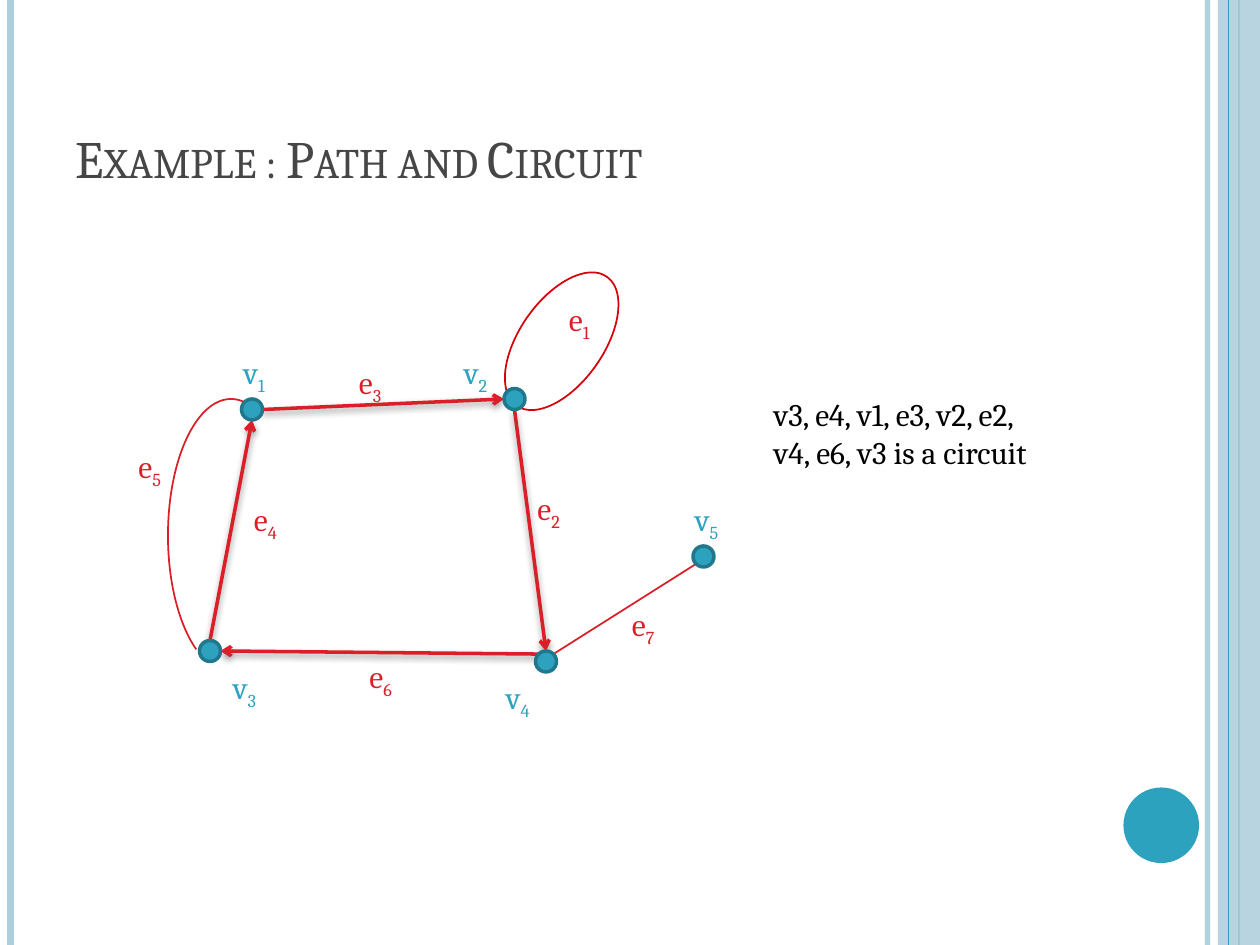
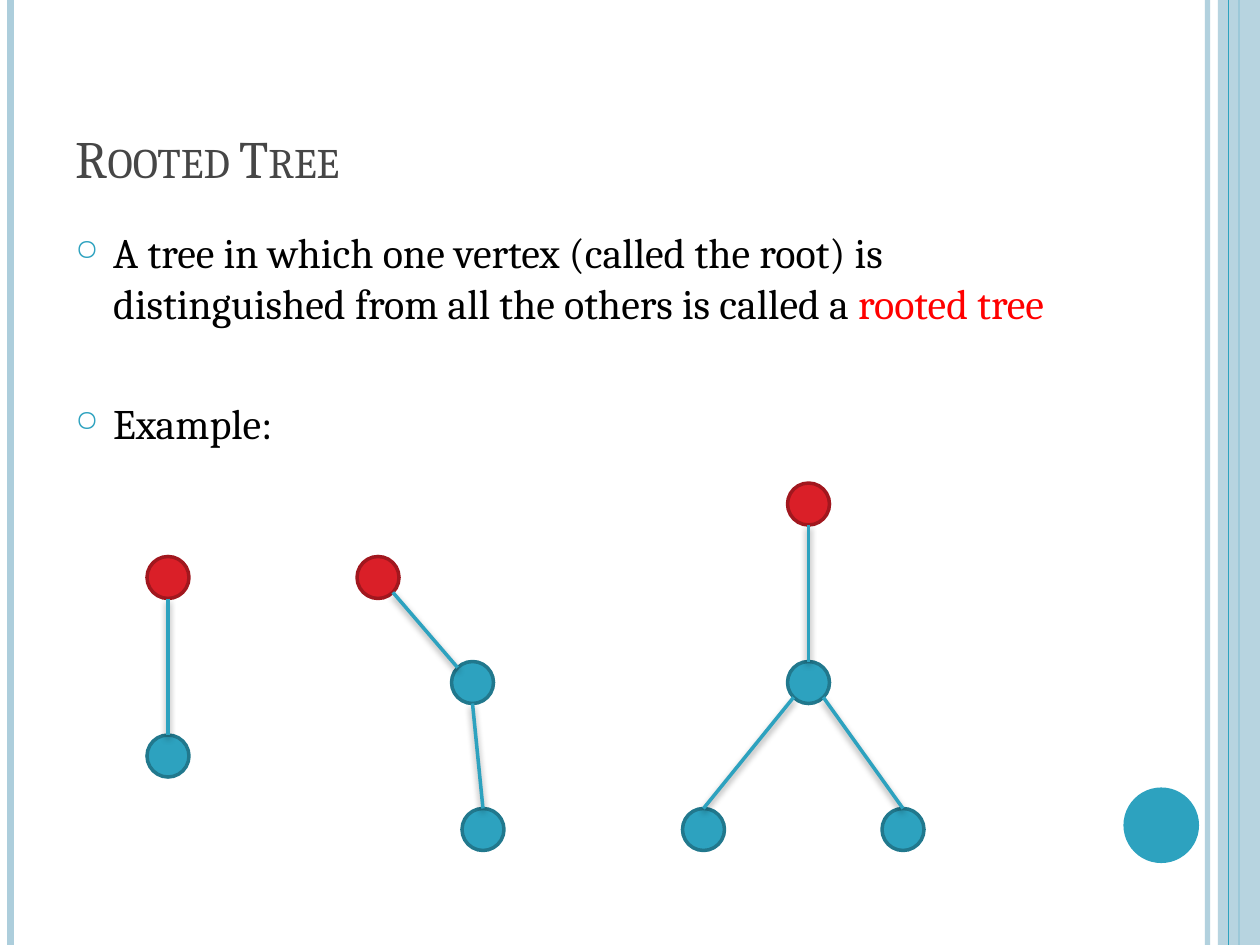
from dataclasses import dataclass
from math import sqrt

from lxml import etree
from pptx import Presentation
from pptx.dml.color import RGBColor
from pptx.enum.shapes import MSO_CONNECTOR, MSO_SHAPE
from pptx.enum.text import MSO_ANCHOR, MSO_AUTO_SIZE, PP_ALIGN
from pptx.oxml.ns import qn
from pptx.util import Pt

STRAIGHT = MSO_CONNECTOR.STRAIGHT
RECT, OVAL, ARC = MSO_SHAPE.RECTANGLE, MSO_SHAPE.OVAL, MSO_SHAPE.ARC
BOTTOM, LEFT = MSO_ANCHOR.BOTTOM, PP_ALIGN.LEFT
NO_FIT, GROW = MSO_AUTO_SIZE.NONE, MSO_AUTO_SIZE.SHAPE_TO_FIT_TEXT

DIAG = 1 / sqrt(2)
SIDES = {
    "top": (0, -1), "bottom": (0, 1), "right": (1, 0), "left": (-1, 0),
    "top left": (-DIAG, -DIAG), "top right": (DIAG, -DIAG),
    "bottom left": (-DIAG, DIAG), "bottom right": (DIAG, DIAG),
}


@dataclass(frozen=True)
class Theme:
    font: str = "Cambria"
    title_size: int = 30
    body_size: int = 24
    label_size: int = 18
    title: str = "464646"
    text: str = "000000"
    band: str = "ADCEDC"
    teal: str = "2DA2BF"
    teal_edge: str = "21788D"
    red: str = "DA1F28"
    red_edge: str = "A1171E"
    loop: str = "D5000A"
    highlight: str = "FF0000"


def rgb(value):
    return RGBColor.from_string(value)


def sub(parent, tag, **attrs):
    return etree.SubElement(parent, qn(tag), {k: str(v) for k, v in attrs.items()})


def set_alpha(element, percent):
    for color in element.iter(qn("a:srgbClr")):
        sub(color, "a:alpha", val=percent * 1000)


class Deck:
    def __init__(self, theme):
        self.theme = theme
        self.prs = Presentation()
        self.prs.slide_width, self.prs.slide_height = Pt(720), Pt(540)
        self.s = None

    def slide(self, title):
        self.s = self.prs.slides.add_slide(self.prs.slide_layouts[5])
        self.bands()
        t = self.theme
        sp = self.s.shapes.title
        sp.left, sp.top, sp.width, sp.height = Pt(36), Pt(21.6), Pt(588), Pt(90)
        tf = sp.text_frame
        tf.text = title
        tf.vertical_anchor, tf.auto_size = BOTTOM, NO_FIT
        p = tf.paragraphs[0]
        p.alignment = LEFT
        r = self.style(p.runs[0], t.title_size, t.title)
        r.font._element.set("cap", "small")

    def bands(self):
        t = self.theme
        self.stripe(690, t.band, 3, alpha=93)
        self.stripe(6, t.band, 4.5)
        self.stripe(708, t.teal, 1.5)
        sp = self.shape(RECT, 696, 0, 24, 540, fill=t.band)
        set_alpha(sp._element.spPr, 87)
        self.stripe(702, t.teal, 0.75)
        self.shape(OVAL, 642, 450, 43.2, 43.2, fill=t.teal)

    def stripe(self, x, color, width, alpha=None):
        ln = self.line((x, 0), (x, 540), color, width)
        if alpha:
            set_alpha(ln._element.spPr, alpha)

    def style(self, r, size, color):
        r.font.name, r.font.size = self.theme.font, Pt(size)
        r.font.color.rgb = rgb(color)
        return r

    def shape(self, kind, x, y, w, h, fill=None, line=None, width=1):
        sp = self.s.shapes.add_shape(kind, Pt(x), Pt(y), Pt(w), Pt(h))
        sp.shadow.inherit = False
        if fill:
            sp.fill.solid()
            sp.fill.fore_color.rgb = rgb(fill)
        else:
            sp.fill.background()
        if line:
            sp.line.color.rgb, sp.line.width = rgb(line), Pt(width)
        else:
            sp.line.fill.background()
        return sp

    def line(self, start, end, color, width, arrow=False, shadow=False):
        ln = self.s.shapes.add_connector(STRAIGHT, *map(Pt, start + end))
        ln.line.color.rgb, ln.line.width = rgb(color), Pt(width)
        if arrow:
            sub(ln.line._get_or_add_ln(), "a:tailEnd", type="arrow")
        effects = sub(ln._element.spPr, "a:effectLst")
        if shadow:
            outer = sub(effects, "a:outerShdw", blurRad=Pt(4), dist=Pt(2),
                        dir=90 * 60000, rotWithShape=0)
            sub(outer, "a:srgbClr", val="000000")
            set_alpha(outer, 40)
        return ln

    def node(self, center, radius, root=False):
        t = self.theme
        fill, edge = (t.red, t.red_edge) if root else (t.teal, t.teal_edge)
        x, y = center
        self.shape(OVAL, x - radius, y - radius, 2 * radius, 2 * radius, fill, edge, 2)

    def edge(self, start, start_side, end, end_side, radius, color, width=2, arrow=False):
        ends = [
            tuple(c + radius * d for c, d in zip(center, SIDES[side]))
            for center, side in ((start, start_side), (end, end_side))
        ]
        self.line(*ends, color, width, arrow, shadow=width > 1)

    def arc(self, x, y, w, h, color, adjustments, rotation=0):
        sp = self.shape(ARC, x, y, w, h, line=color)
        sp.adjustments[0], sp.adjustments[1] = adjustments
        sp.rotation = rotation

    def textbox(self, x, y, w, h, text, size, color, wrap=False):
        sp = self.s.shapes.add_textbox(Pt(x), Pt(y), Pt(w), Pt(h))
        tf = sp.text_frame
        tf.text = text
        tf.word_wrap = wrap
        tf.auto_size = NO_FIT if wrap else GROW
        for p in tf.paragraphs:
            self.style(p.runs[0], size, color)
        return tf

    def label(self, name, x, y, color):
        size = self.theme.label_size
        tf = self.textbox(x, y, 32.4, 28.8, name[0], size, color)
        r = tf.paragraphs[0].add_run()
        r.text = name[1:]
        self.style(r, size, color)
        r.font._element.set("baseline", "-25000")

    def bullet(self, p, space_before):
        p.space_before = Pt(space_before)
        pPr = p._p.get_or_add_pPr()
        pPr.set("marL", str(Pt(21.6)))
        pPr.set("indent", str(-Pt(21.6)))
        sub(sub(pPr, "a:buClr"), "a:srgbClr", val=self.theme.teal)
        sub(pPr, "a:buSzPct", val=70000)
        sub(pPr, "a:buChar", char="○")


def path_and_circuit(deck):
    t = deck.theme
    deck.slide("Example : Path and Circuit")
    radius = 6
    vertices = {"v1": (144, 234), "v2": (294, 228), "v3": (120, 372),
                "v4": (312, 378), "v5": (402, 318)}
    circuit = [
        ("v3", "top", "v1", "bottom"),
        ("v2", "bottom", "v4", "top"),
        ("v1", "right", "v2", "left"),
        ("v4", "top left", "v3", "right"),
    ]
    for start, start_side, end, end_side in circuit:
        deck.edge(vertices[start], start_side, vertices[end], end_side,
                  radius, t.red, arrow=True)
    deck.edge(vertices["v4"], "top right", vertices["v5"], "bottom left",
              radius, t.red, width=1)
    deck.arc(297, 150, 48, 90, t.loop, (60.96, 52.27), rotation=35)
    deck.arc(96, 228, 72, 156, t.red, (64.17, 170.63))

    vertex_labels = {"v1": (132, 198), "v2": (258, 198), "v3": (126, 378),
                     "v4": (282, 384), "v5": (390, 282)}
    edge_labels = {"e1": (318, 168), "e2": (300, 276), "e3": (198, 204),
                   "e4": (138, 282), "e5": (72, 252), "e6": (204, 372),
                   "e7": (354, 342)}
    for labels, color in ((vertex_labels, t.teal), (edge_labels, t.red)):
        for name, (x, y) in labels.items():
            deck.label(name, x, y, color)
    for center in vertices.values():
        deck.node(center, radius)
    deck.textbox(435, 222, 219, 51,
                 "v3, e4, v1, e3, v2, e2,\nv4, e6, v3 is a circuit",
                 t.label_size, t.text)


def rooted_tree(deck):
    t = deck.theme
    deck.slide("Rooted Tree")
    tf = deck.textbox(
        36, 126, 588, 162,
        "A tree in which one vertex (called the root) is distinguished "
        "from all the others is called a \nExample:",
        t.body_size, t.text, wrap=True)
    definition, example = tf.paragraphs
    r = definition.add_run()
    r.text = "rooted tree"
    deck.style(r, t.body_size, t.highlight)
    deck.bullet(definition, 6)
    deck.bullet(example, 40)

    radius = 12
    trees = [
        ([(96, 330), (96, 432)], [(0, "bottom", 1, "top")]),
        ([(216, 330), (270, 390), (276, 474)],
         [(0, "bottom right", 1, "top left"), (1, "bottom", 2, "top")]),
        ([(462, 288), (462, 390), (402, 474), (516, 474)],
         [(0, "bottom", 1, "top"), (1, "bottom right", 3, "top"),
          (1, "bottom left", 2, "top")]),
    ]
    for nodes, edges in trees:
        for i, center in enumerate(nodes):
            deck.node(center, radius, root=i == 0)
        for parent, parent_side, child, child_side in edges:
            deck.edge(nodes[parent], parent_side, nodes[child], child_side,
                      radius, t.teal)


def main():
    deck = Deck(Theme())
    path_and_circuit(deck)
    rooted_tree(deck)
    deck.prs.save("out.pptx")


if __name__ == "__main__":
    main()
